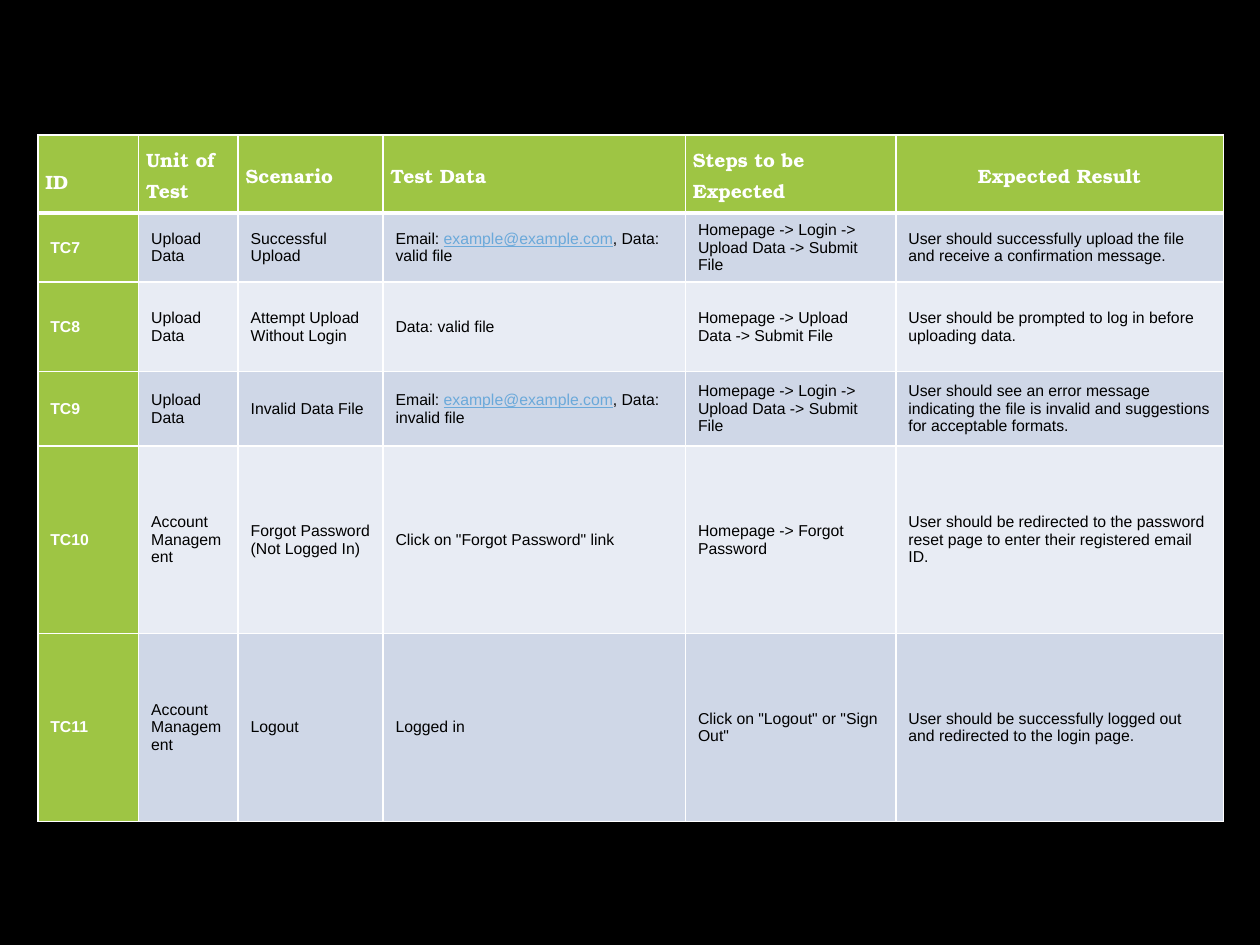
from pptx import Presentation
from pptx.dml.color import RGBColor
from pptx.enum.text import MSO_ANCHOR, PP_ALIGN
from pptx.oxml import parse_xml
from pptx.oxml.ns import nsdecls
from pptx.util import Inches, Pt

THEME = {
    "background": "000000", "green": "9EC544", "bands": ("CFD7E7", "E8ECF4"),
    "white": "FFFFFF", "text": "000000", "email": "6BA9DA",
    "header_font": "TeX Gyre Bonum", "body_font": "Arial",
    "header_size": 11, "body_size": 9, "rule": 1, "header_rule": 3,
}

EMAIL = "example@example.com"
HEADERS = ["ID", "Unit of Test", "Scenario", "Test Data", "Steps to be Expected", "Expected Result"]
TEST_CASES = [
    ("TC7", "Upload Data", "Successful Upload", f"Email: {EMAIL}, Data: valid file",
     "Homepage -> Login -> Upload Data -> Submit File",
     "User should successfully upload the file and receive a confirmation message."),
    ("TC8", "Upload Data", "Attempt Upload Without Login", "Data: valid file",
     "Homepage -> Upload Data -> Submit File",
     "User should be prompted to log in before uploading data."),
    ("TC9", "Upload Data", "Invalid Data File", f"Email: {EMAIL}, Data: invalid file",
     "Homepage -> Login -> Upload Data -> Submit File",
     "User should see an error message indicating the file is invalid "
     "and suggestions for acceptable formats."),
    ("TC10", "Account Management", "Forgot Password (Not Logged In)",
     'Click on "Forgot Password" link', "Homepage -> Forgot Password",
     "User should be redirected to the password reset page to enter their registered email ID."),
    ("TC11", "Account Management", "Logout", "Logged in", 'Click on "Logout" or "Sign Out"',
     "User should be successfully logged out and redirected to the login page."),
]
LEFT, TOP = 0.3, 1.07
COLUMN_WIDTHS = [0.8, 0.79, 1.15, 2.4, 1.67, 2.6]
ROW_HEIGHTS = [0.62, 0.55, 0.71, 0.59, 1.49, 1.49]


def color(name):
    return RGBColor.from_string(THEME[name])


def style_cell(cell, fill, top, bottom):
    """Border the four sides, then fill; the schema wants that order."""
    properties = cell._tc.get_or_add_tcPr()
    for side, width in (("L", THEME["rule"]), ("R", THEME["rule"]), ("T", top), ("B", bottom)):
        properties.append(parse_xml(
            f'<a:ln{side} {nsdecls("a")} w="{Pt(width)}"><a:solidFill>'
            f'<a:srgbClr val="{THEME["white"]}"/></a:solidFill></a:ln{side}>'))
    cell.fill.solid()
    cell.fill.fore_color.rgb = RGBColor.from_string(fill)
    cell.vertical_anchor = MSO_ANCHOR.MIDDLE


def set_font(font, kind, tint, bold):
    font.name = THEME[f"{kind}_font"]
    font.size = Pt(THEME[f"{kind}_size"])
    font.bold = bold
    font.color.rgb = color(tint)


def write_header(cell, text):
    style_cell(cell, THEME["green"], THEME["rule"], THEME["header_rule"])
    cell.margin_left = cell.margin_right = Inches(0.06)
    cell.margin_top = cell.margin_bottom = 0
    para = cell.text_frame.paragraphs[0]
    para.text = text
    para.line_spacing = 1.07
    set_font(para.font, "header", "white", True)


def write_body(cell, text, fill, top, is_id):
    style_cell(cell, fill, top, THEME["rule"])
    para = cell.text_frame.paragraphs[0]
    set_font(para.font, "body", "white" if is_id else "text", is_id)
    before, email, after = text.partition(EMAIL)
    for part in filter(None, (before, email, after)):
        span = para.add_run()
        span.text = part
        set_font(span.font, "body", "white" if is_id else "text", is_id)
        if part == EMAIL:
            span.font.color.rgb = color("email")
            span.font.underline = True


# Page
deck = Presentation()
deck.slide_width, deck.slide_height = Inches(10), Inches(7.5)
page = deck.slides.add_slide(deck.slide_layouts[6])
page.background.fill.solid()
page.background.fill.fore_color.rgb = color("background")

# Table grid
table = page.shapes.add_table(
    len(ROW_HEIGHTS), len(COLUMN_WIDTHS), Inches(LEFT), Inches(TOP),
    Inches(sum(COLUMN_WIDTHS)), Inches(sum(ROW_HEIGHTS))).table
table.first_row = table.horz_banding = False
for column, width in zip(table.columns, COLUMN_WIDTHS):
    column.width = Inches(width)
for row, height in zip(table.rows, ROW_HEIGHTS):
    row.height = Inches(height)

# Header row: the ID sits low, the last heading is centred
for index, heading in enumerate(HEADERS):
    write_header(table.cell(0, index), heading)
id_heading = table.cell(0, 0)
id_heading.vertical_anchor = MSO_ANCHOR.TOP
id_heading.margin_top = Inches(0.24)
table.cell(0, len(HEADERS) - 1).text_frame.paragraphs[0].alignment = PP_ALIGN.CENTER

# Test cases in alternating bands beside a green ID column
for number, case in enumerate(TEST_CASES):
    band = THEME["bands"][number % 2]
    top = THEME["rule"] if number else THEME["header_rule"]
    for index, text in enumerate(case):
        is_id = index == 0
        write_body(table.cell(number + 1, index), text,
                   THEME["green"] if is_id else band, top, is_id)

deck.save("out.pptx")
